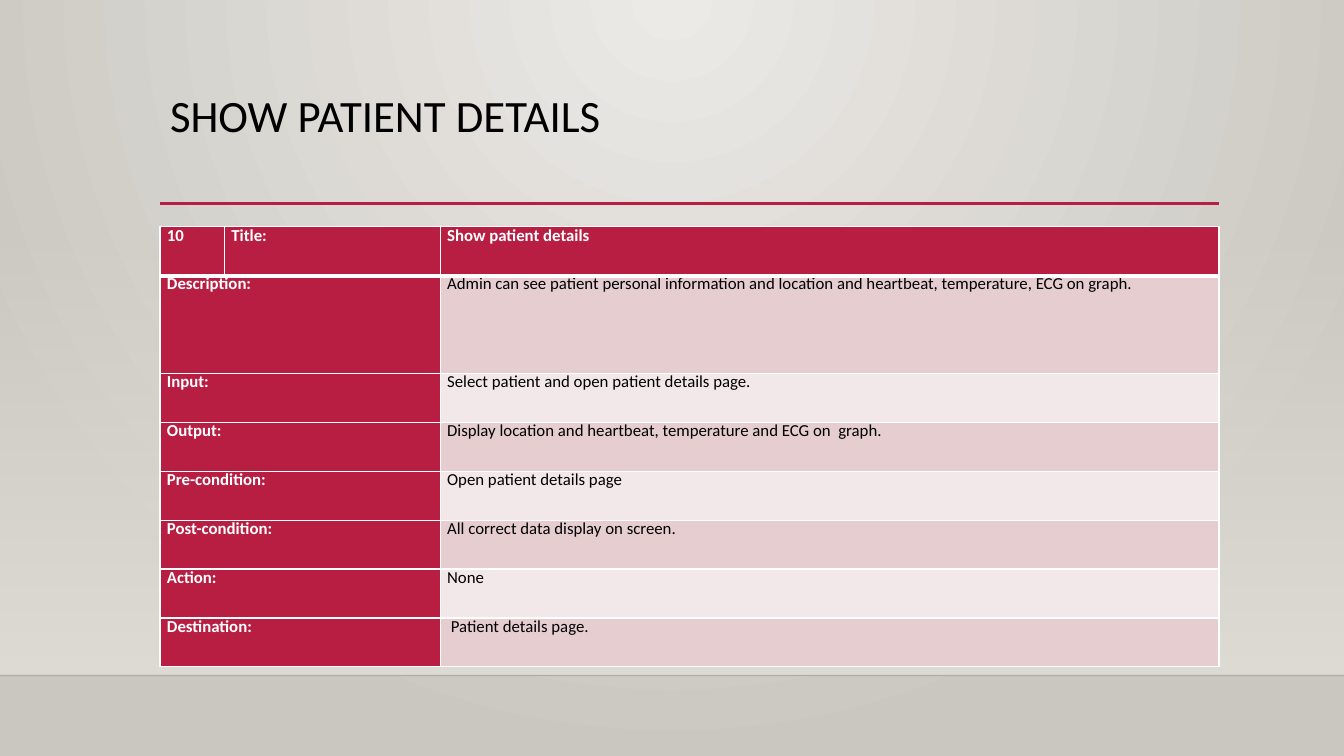
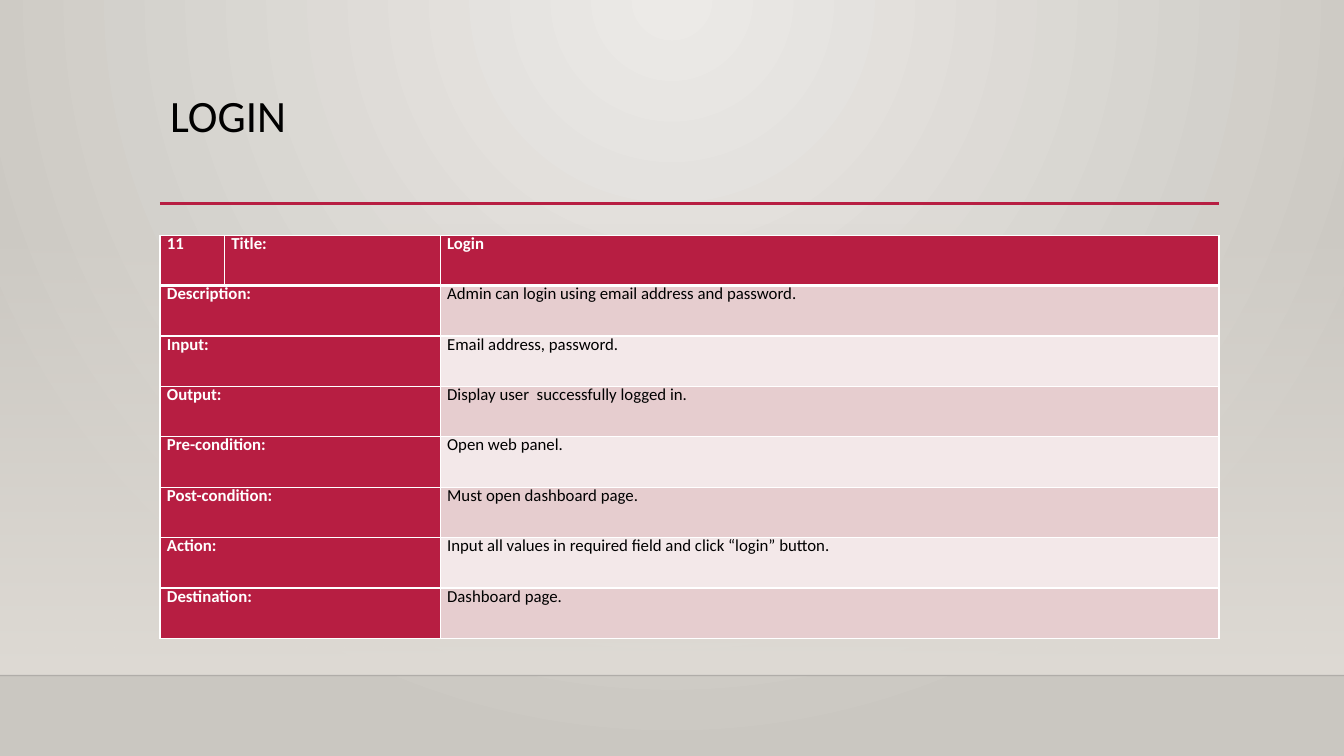
from dataclasses import dataclass

from lxml.etree import SubElement
from pptx import Presentation
from pptx.dml.color import RGBColor
from pptx.enum.shapes import MSO_CONNECTOR as Connector, MSO_SHAPE as Shape
from pptx.enum.text import MSO_ANCHOR as Anchor, PP_ALIGN as Align
from pptx.oxml.ns import qn
from pptx.util import Inches, Pt


@dataclass(frozen=True)
class Theme:
    """Colours, type sizes and line widths, with positions in percent of the slide."""
    font: str = "Calibri"
    title_size: float = 32
    body_size: float = 12
    line_spacing: float = 13.4
    space_after: float = 6
    ink: str = "000000"
    paper: str = "FFFFFF"
    accent: str = "B71E42"
    bands: tuple = ("E6CDCF", "F3E8E9")
    backdrop: tuple = ("ECEAE7", "CAC7C1")
    wall: str = "DFDBD5"
    floor_edge: str = "000001"
    thin: float = 1
    thick: float = 3
    left: float = 11.9
    width: float = 78.8
    title_top: float = 11.75
    title_height: float = 15.3
    rule_top: float = 26.9
    wall_top: float = 29.45
    floor_top: float = 89.35
    columns: tuple = (4.8, 16.05, 57.95)


FIELDS = ("Description:", "Input:", "Output:", "Pre-condition:",
          "Post-condition:", "Action:", "Destination:")

USE_CASES = (
    dict(number="10", name="Show patient details", top=30, row_height=6.47,
         units={1: 2}, answers=(
             "Admin can see patient personal information and location and "
             "heartbeat, temperature, ECG on graph.",
             "Select patient and open patient details page.",
             "Display location and heartbeat, temperature and ECG on  graph.",
             "Open patient details page",
             "All correct data display on screen.",
             "None",
             " Patient details page.")),
    dict(number="11", name="Login", top=31.1, row_height=6.67,
         units={}, answers=(
             "Admin can login using email address and password.",
             "Email address, password.",
             "Display user  successfully logged in.",
             "Open web panel.",
             "Must open dashboard page.",
             "Input all values in required field and click “login” button.",
             "Dashboard page.")),
)


def write_text(frame, text, *, font, size, color, bold=False,
               align=Align.LEFT, spacing=None, after=0):
    frame.word_wrap = True
    paragraph = frame.paragraphs[0]
    paragraph.alignment = align
    paragraph.line_spacing = spacing
    paragraph.space_after = Pt(after)
    run = paragraph.add_run()
    run.text = text
    run.font.name, run.font.size, run.font.bold = font, Pt(size), bold
    run.font.color.rgb = RGBColor.from_string(color)


def set_gradient(fill, colors):
    fill.gradient()
    for stop, color, position in zip(fill.gradient_stops, colors, (0, 1)):
        stop.color.rgb = RGBColor.from_string(color)
        stop.position = position


def set_alpha(color_element, percent):
    SubElement(color_element, qn("a:alpha"), val=str(percent * 1000))


class Deck:
    def __init__(self, theme):
        self.theme = theme
        self.presentation = Presentation()
        self.presentation.slide_width = Inches(13.333)
        self.presentation.slide_height = Inches(7.5)
        self.layout = self.presentation.slide_layouts[5]
        self.slide = None
        self.set_backdrop()

    def x(self, percent):
        return round(self.presentation.slide_width * percent / 100)

    def y(self, percent):
        return round(self.presentation.slide_height * percent / 100)

    def set_backdrop(self):
        # Radial glow from the top centre, shared through the layout
        set_gradient(self.layout.background.fill, self.theme.backdrop)
        gradient = self.layout._element.find(".//" + qn("a:gradFill"))
        gradient.remove(gradient.find(qn("a:lin")))
        glow = SubElement(gradient, qn("a:path"), {"path": "circle"})
        SubElement(glow, qn("a:fillToRect"), l="43000", t="0", r="43000", b="100000")

    def add_slide(self, title):
        theme = self.theme
        self.slide = self.presentation.slides.add_slide(self.layout)
        self.add_wall()
        self.add_line(0, 100, theme.floor_top, theme.floor_edge, 1, alpha=20)
        self.add_line(theme.left, theme.width, theme.rule_top, theme.accent, 2.5)
        self.add_title(title)

    def add_wall(self):
        theme = self.theme
        wall = self.slide.shapes.add_shape(
            Shape.RECTANGLE, 0, self.y(theme.wall_top), self.x(100),
            self.y(theme.floor_top - theme.wall_top))
        wall.shadow.inherit = False
        wall.line.fill.background()
        set_gradient(wall.fill, (theme.wall, theme.wall))
        wall.fill.gradient_angle = 270
        set_alpha(wall._element.spPr.find(".//" + qn("a:srgbClr")), 0)

    def add_line(self, left, width, top, color, weight, alpha=None):
        line = self.slide.shapes.add_connector(
            Connector.STRAIGHT, self.x(left), self.y(top),
            self.x(left + width), self.y(top))
        line.line.color.rgb = RGBColor.from_string(color)
        line.line.width = Pt(weight)
        properties = line._element.spPr
        if alpha is not None:
            set_alpha(properties.find(".//" + qn("a:srgbClr")), alpha)
        SubElement(properties, qn("a:effectLst"))

    def add_title(self, text):
        theme = self.theme
        title = self.slide.shapes.title
        title.left, title.top = self.x(theme.left), self.y(theme.title_top)
        title.width, title.height = self.x(theme.width), self.y(theme.title_height)
        title.text_frame.vertical_anchor = Anchor.TOP
        write_text(title.text_frame, text, font=theme.font, size=theme.title_size,
                   color=theme.ink, spacing=0.9)

    def add_table(self, rows, top, row_height, units):
        theme = self.theme
        heights = [row_height * units.get(i, 1) for i in range(len(rows))]
        table = self.slide.shapes.add_table(
            len(rows), len(theme.columns), self.x(theme.left), self.y(top),
            self.x(theme.width), self.y(sum(heights))).table
        for column, width in zip(table.columns, theme.columns):
            column.width = self.x(width)
        for i, (values, height) in enumerate(zip(rows, heights)):
            table.rows[i].height = self.y(height)
            for j, value in enumerate(values):
                self.format_cell(table.cell(i, j), i, j, value)
            if i:
                table.cell(i, 0).merge(table.cell(i, 1))

    def format_cell(self, cell, row, column, text):
        theme = self.theme
        is_label = row == 0 or column < 2
        # The line under the header row is heavier than the others
        self.set_borders(cell, top=theme.thick if row == 1 else theme.thin,
                         bottom=theme.thick if row == 0 else theme.thin)
        cell.fill.solid()
        cell.fill.fore_color.rgb = RGBColor.from_string(
            theme.accent if is_label else theme.bands[(row - 1) % 2])
        cell.margin_left = cell.margin_right = Inches(0.07)
        cell.margin_top = cell.margin_bottom = 0
        if text:
            write_text(cell.text_frame, text, font=theme.font, size=theme.body_size,
                       color=theme.paper if is_label else theme.ink, bold=is_label,
                       align=Align.JUSTIFY, spacing=Pt(theme.line_spacing),
                       after=theme.space_after if row or column else 0)

    def set_borders(self, cell, top, bottom):
        properties = cell._tc.get_or_add_tcPr()
        thin = self.theme.thin
        for side, weight in zip("LRTB", (thin, thin, top, bottom)):
            border = SubElement(properties, qn("a:ln" + side), w=str(Pt(weight)))
            fill = SubElement(border, qn("a:solidFill"))
            SubElement(fill, qn("a:srgbClr"), val=self.theme.paper)


def main():
    deck = Deck(Theme())
    for case in USE_CASES:
        deck.add_slide(case["name"].upper())
        header = (case["number"], "Title:", case["name"])
        body = [(field, "", answer) for field, answer in zip(FIELDS, case["answers"])]
        deck.add_table([header, *body], case["top"], case["row_height"], case["units"])
    deck.presentation.save("out.pptx")


if __name__ == "__main__":
    main()
